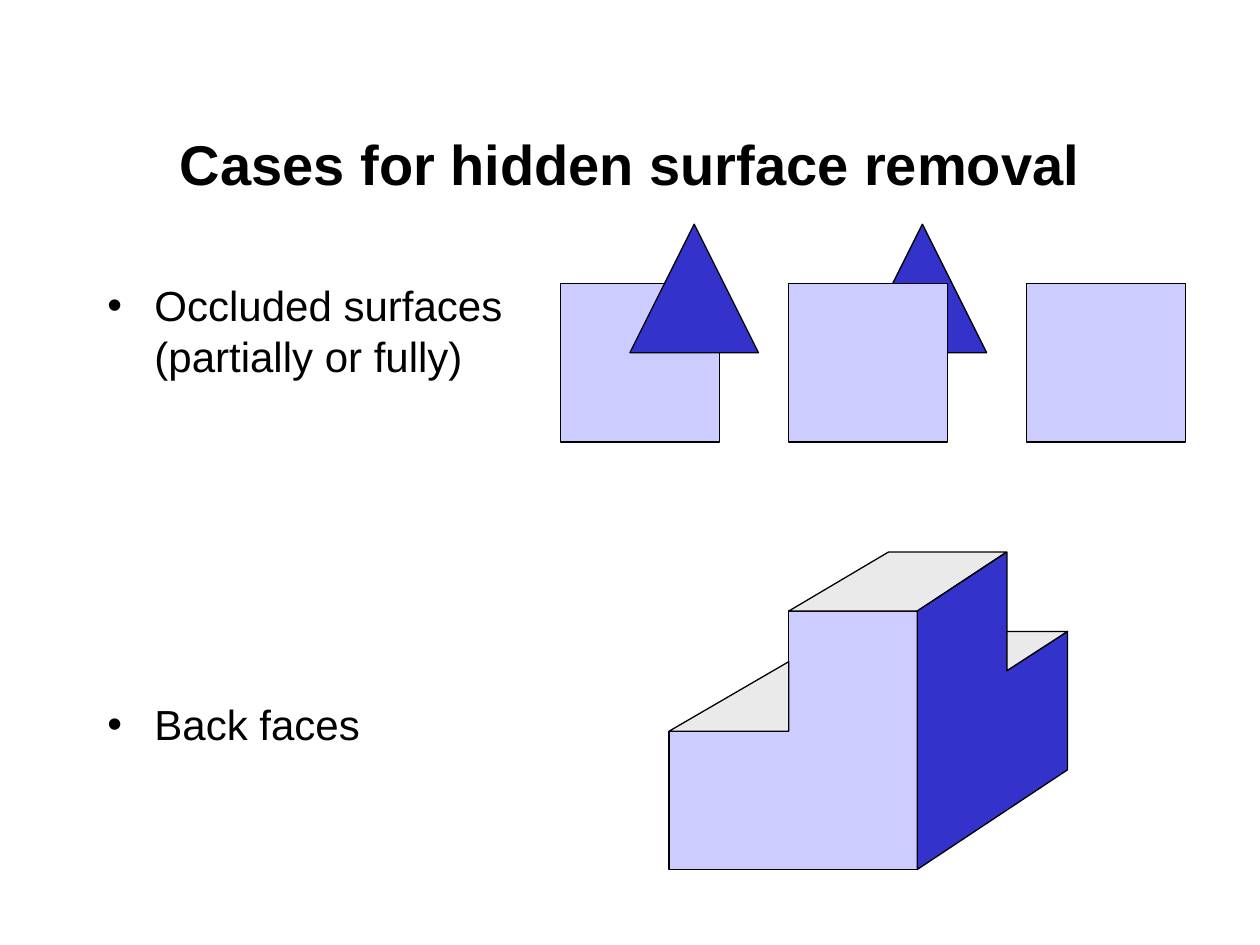
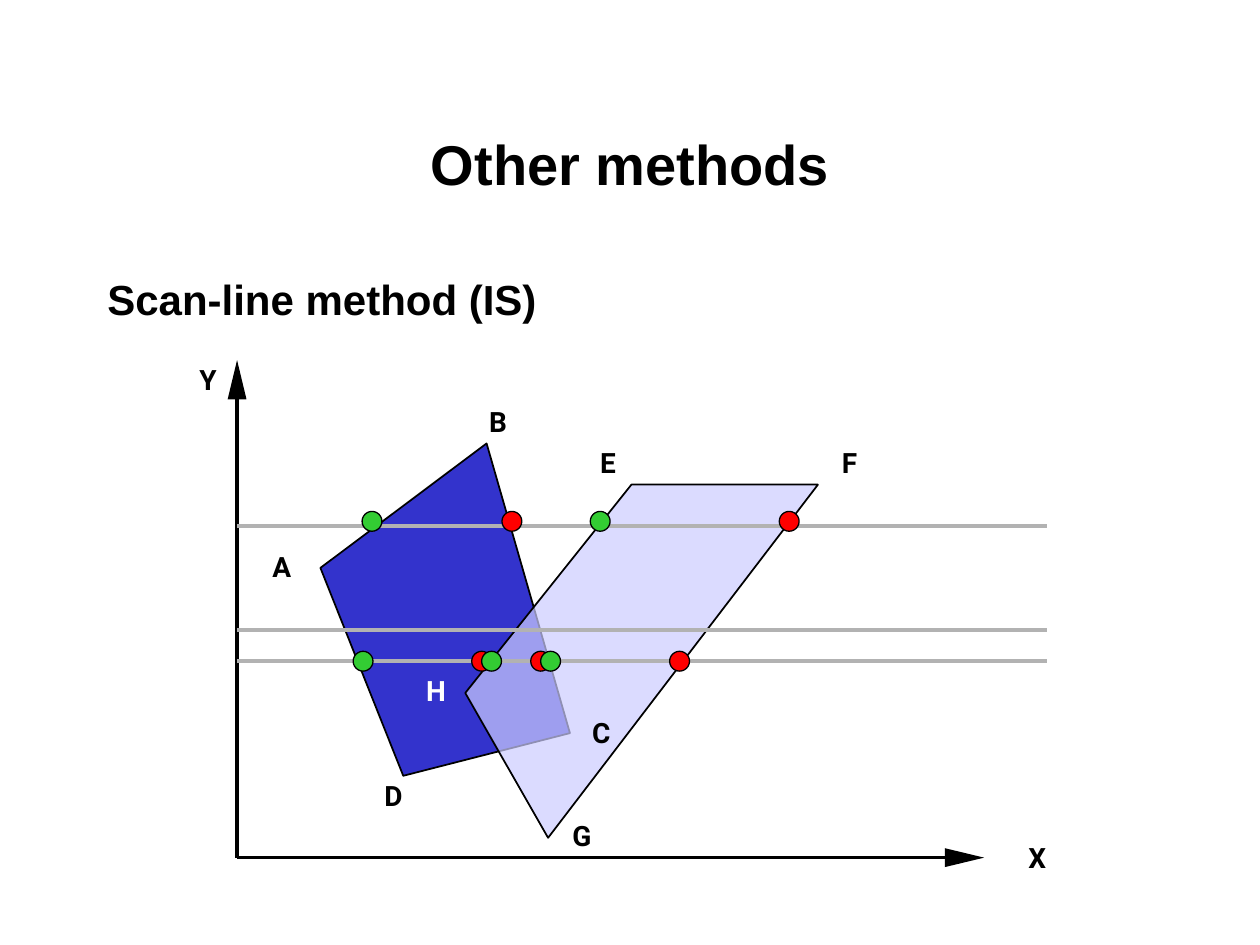
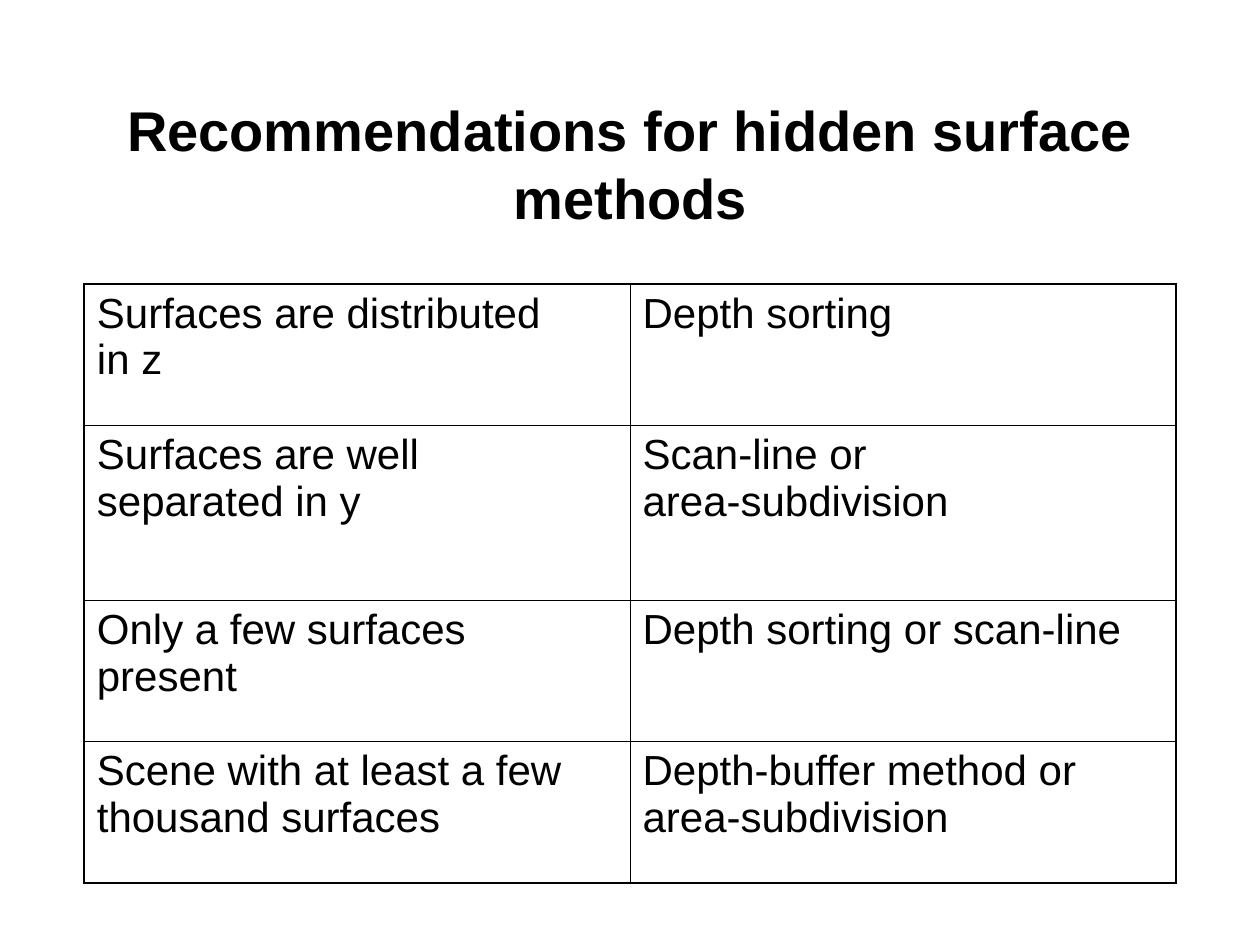
"""Build three slides about hidden surface removal."""
import dataclasses

import lxml.etree
import pptx
import pptx.dml.color
import pptx.enum.shapes
import pptx.enum.text
import pptx.oxml.ns
import pptx.util

Cm = pptx.util.Cm
SHAPES = pptx.enum.shapes.MSO_SHAPE
CENTER = pptx.enum.text.PP_ALIGN.CENTER


@dataclasses.dataclass(frozen=True)
class Theme:
    """Colours, fonts and sizes shared by the slides."""
    ink: str = "000000"
    paper: str = "FFFFFF"
    light: str = "CCCCFF"
    dark: str = "3333CC"
    pale: str = "EAEAEA"
    scan: str = "B2B2B2"
    enter: str = "33CC33"
    leave: str = "FF0000"
    font: str = "Arial"
    label_font: str = "Roboto"
    title_size: float = 32
    body_size: float = 24
    label_size: float = 16
    outline: float = 0.75
    polygon_line: float = 1
    axis_line: float = 2
    scan_line: float = 2.25
    frame_line: float = 1.08
    grid_line: float = 0.45


@dataclasses.dataclass(frozen=True)
class Box:
    """A region of a slide, in centimetres."""
    left: float
    top: float
    width: float
    height: float

    def point(self, x, y):
        """Return a point of the region as slide lengths."""
        return Cm(self.left + x), Cm(self.top + y)

    def place(self, shape):
        """Move a shape to fill the region."""
        shape.left, shape.top = self.point(0, 0)
        shape.width, shape.height = Cm(self.width), Cm(self.height)


THEME = Theme()
TITLE_BOX = Box(1.91, 1.7, 21.59, 3.18)


def color(value):
    """Return a colour object for a hexadecimal value."""
    return pptx.dml.color.RGBColor.from_string(value)


def add_element(parent, tag, **attributes):
    """Append a drawing element to its parent."""
    element = lxml.etree.SubElement(parent, pptx.oxml.ns.qn(tag))
    for name, value in attributes.items():
        element.set(name, str(value))
    return element


def write(paragraph, text, size=THEME.body_size, font=THEME.font,
          fill=THEME.ink, bold=False, align=None):
    """Write formatted text into a paragraph."""
    paragraph.text = text
    paragraph.alignment = align
    for run in paragraph.runs:
        run.font.size = pptx.util.Pt(size)
        run.font.name = font
        run.font.bold = bold
        run.font.color.rgb = color(fill)


def indent(paragraph, bullet=None):
    """Give a paragraph a hanging indent and an optional bullet."""
    properties = paragraph._p.get_or_add_pPr()
    properties.set("marL", str(Cm(0.95)))
    properties.set("indent", str(Cm(-0.95)))
    if bullet:
        add_element(add_element(properties, "a:buClr"), "a:srgbClr", val=THEME.ink)
        add_element(properties, "a:buChar", char=bullet)
    else:
        add_element(properties, "a:buNone")


def paint(shape, fill, line=THEME.outline, opacity=None):
    """Set the fill and outline of a shape."""
    shape.shadow.inherit = False
    shape.fill.solid()
    shape.fill.fore_color.rgb = color(fill)
    if line:
        shape.line.color.rgb = color(THEME.ink)
        shape.line.width = pptx.util.Pt(line)
    else:
        shape.line.fill.background()
    if opacity:
        solid = shape._element.spPr.find(pptx.oxml.ns.qn("a:solidFill"))
        add_element(solid[0], "a:alpha", val=opacity * 1000)


def add_preset(slide, box, kind, x, y, size, fill):
    """Add a preset shape of equal width and height."""
    shape = slide.shapes.add_shape(kind, *box.point(x, y), Cm(size), Cm(size))
    paint(shape, fill)


def add_polygon(slide, box, points, fill, **style):
    """Add a closed outline through points of the region."""
    start, *others = [box.point(*point) for point in points]
    builder = slide.shapes.build_freeform(*start)
    builder.add_line_segments(others, close=True)
    paint(builder.convert_to_shape(), fill, **style)


def add_line(slide, box, start, end, line, width):
    """Add a straight line between two points of the region."""
    connector = slide.shapes.add_connector(
        pptx.enum.shapes.MSO_CONNECTOR.STRAIGHT, *box.point(*start), *box.point(*end))
    connector.line.color.rgb = color(line)
    connector.line.width = pptx.util.Pt(width)
    add_element(connector._element.spPr, "a:effectLst")


def add_titled_slide(presentation, layout, title):
    """Add a slide with the shared title style."""
    slide = presentation.slides.add_slide(presentation.slide_layouts[layout])
    shape = slide.shapes.title
    TITLE_BOX.place(shape)
    frame = shape.text_frame
    frame.auto_size = pptx.enum.text.MSO_AUTO_SIZE.NONE
    frame.vertical_anchor = pptx.enum.text.MSO_ANCHOR.MIDDLE
    write(frame.paragraphs[0], title, size=THEME.title_size, bold=True, align=CENTER)
    return slide


def fill_body(slide, box, texts, bullet=None, bold=False, gap=0, spacing=1.0):
    """Fill the body placeholder with a list of paragraphs."""
    shape = slide.placeholders[1]
    box.place(shape)
    frame = shape.text_frame
    frame.auto_size = pptx.enum.text.MSO_AUTO_SIZE.NONE
    for index, text in enumerate(texts):
        paragraph = frame.add_paragraph() if index else frame.paragraphs[0]
        indent(paragraph, bullet)
        write(paragraph, text, bold=bold)
        paragraph.line_spacing = spacing
        paragraph.space_before = pptx.util.Pt(gap if index else 0)


def draw_occlusion(slide, box):
    """Draw a square behind, in front of and without a visible triangle."""
    square = (SHAPES.RECTANGLE, 0, 1.19, 3.2, THEME.light)
    triangle = (SHAPES.ISOSCELES_TRIANGLE, 1.4, 0, 2.59, THEME.dark)
    cases = [(0, (square, triangle)), (4.6, (triangle, square)), (9.4, (square,))]
    for offset, parts in cases:
        for kind, x, y, size, fill in parts:
            add_preset(slide, box, kind, offset + x, y, size, fill)


def draw_steps(slide, box):
    """Draw the visible faces of a stepped block."""
    faces = [
        (THEME.light, [(0, 3.61), (2.41, 3.61), (2.41, 1.19), (5, 1.19), (5, 6.4), (0, 6.4)]),
        (THEME.pale, [(2.41, 1.19), (4.42, 0), (6.8, 0), (5, 1.19)]),
        (THEME.dark, [(5, 1.19), (6.81, 0), (6.81, 2.39), (8.03, 1.6), (8.03, 4.39), (5, 6.4)]),
        (THEME.pale, [(0, 3.61), (2.41, 2.21), (2.41, 3.61)]),
        (THEME.pale, [(6.81, 1.6), (8.03, 1.6), (6.81, 2.39)]),
    ]
    for fill, points in faces:
        add_polygon(slide, box, points, fill)


def draw_axes(slide, box):
    """Draw the two axes with long arrowheads."""
    length, half, tip, base = 0.79, 0.19, 15.06, box.height
    add_polygon(slide, box, [(0, 0), (half, length), (-half, length)], THEME.ink, line=None)
    add_line(slide, box, (0, length), (0, base), THEME.ink, THEME.axis_line)
    neck = tip - length
    add_polygon(slide, box, [(tip, base), (neck, base + half), (neck, base - half)],
                THEME.ink, line=None)
    add_line(slide, box, (0, base), (neck, base), THEME.ink, THEME.axis_line)


def draw_surfaces(slide, box):
    """Draw the overlapping surfaces ABCD and EFGH."""
    add_polygon(slide, box, [(5.03, 1.68), (1.68, 4.19), (3.35, 8.38), (6.71, 7.52)],
                THEME.dark, line=THEME.polygon_line)
    add_polygon(slide, box, [(4.6, 6.71), (7.95, 2.51), (11.71, 2.51), (6.27, 9.63)],
                THEME.light, line=THEME.polygon_line, opacity=70)


def draw_labels(slide, box):
    """Name the axes and the corners of the surfaces."""
    labels = {
        "Y": (-0.76, 0.05), "X": (15.95, 9.68), "A": (0.71, 3.81), "B": (5.08, 0.89),
        "C": (7.16, 7.16), "D": (2.97, 8.43), "E": (7.32, 1.73), "F": (12.19, 1.73),
        "G": (6.76, 9.25), "H": (3.81, 6.32),
    }
    for text, corner in labels.items():
        frame = slide.shapes.add_textbox(*box.point(*corner), Cm(0.5), Cm(0.69)).text_frame
        frame.word_wrap = True
        frame.margin_left = frame.margin_right = frame.margin_top = frame.margin_bottom = 0
        write(frame.paragraphs[0], text, size=THEME.label_size, font=THEME.label_font,
              bold=True, fill=THEME.paper if text == "H" else THEME.ink)


def draw_scan_lines(slide, box):
    """Draw the scan lines and the dots where they cross edges."""
    enter, leave, size = THEME.enter, THEME.leave, 0.4
    scans = [
        (5.44, 5.44, []),
        (3.35, 3.25, [(5.54, leave), (2.72, enter), (11.13, leave), (7.32, enter)]),
        (6.07, 6.07, [(4.93, leave), (5.13, enter), (2.54, enter), (8.92, leave),
                      (6.12, leave), (6.32, enter)]),
    ]
    for y, dot_y, dots in scans:
        add_line(slide, box, (0, y), (box.width, y), THEME.scan, THEME.scan_line)
        for x, fill in dots:
            add_preset(slide, box, SHAPES.OVAL, x - size / 2, dot_y - size / 2, size, fill)


def format_cell(cell, outer_sides):
    """Give a cell a clear fill, a thick frame outside and thin lines inside."""
    properties = cell._tc.get_or_add_tcPr()
    for side in "LRTB":
        width = THEME.frame_line if side in outer_sides else THEME.grid_line
        border = add_element(properties, f"a:ln{side}", w=pptx.util.Pt(width))
        add_element(add_element(border, "a:solidFill"), "a:srgbClr", val=THEME.ink)
    cell.fill.background()


def draw_table(slide, box, rows, heights):
    """Draw a table of scene types and recommended methods."""
    columns = len(rows[0])
    table = slide.shapes.add_table(len(rows), columns, *box.point(0, 0),
                                   Cm(box.width), Cm(box.height)).table
    table.first_row = table.horz_banding = False
    for column in table.columns:
        column.width = Cm(box.width / columns)
    for row_index, (texts, height) in enumerate(zip(rows, heights)):
        table.rows[row_index].height = Cm(height)
        for column_index, text in enumerate(texts):
            cell = table.cell(row_index, column_index)
            edges = {"L": column_index == 0, "R": column_index == columns - 1,
                     "T": row_index == 0, "B": row_index == len(rows) - 1}
            format_cell(cell, [side for side, outer in edges.items() if outer])
            write(cell.text_frame.paragraphs[0], text)


def build_cases(presentation):
    """Build the slide about occluded surfaces and back faces."""
    slide = add_titled_slide(presentation, 1, "Cases for hidden surface removal")
    fill_body(slide, Box(1.91, 5.51, 8.79, 11.43),
              ["Occluded surfaces (partially or fully)", "Back faces"], bullet="•", gap=182)
    draw_occlusion(slide, Box(11.3, 4.52, 12.6, 4.39))
    draw_steps(slide, Box(13.49, 11.13, 8.03, 6.4))


def build_scan_line(presentation):
    """Build the slide about the scan-line method."""
    slide = add_titled_slide(presentation, 1, "Other methods")
    fill_body(slide, Box(1.91, 5.51, 21.59, 1.22), ["Scan-line method (IS)"],
              bold=True, spacing=0.9)
    diagram = Box(4.78, 7.26, 16.33, 10.03)
    for draw in (draw_axes, draw_surfaces, draw_labels, draw_scan_lines):
        draw(slide, diagram)


def build_recommendations(presentation):
    """Build the slide with the table of methods."""
    slide = add_titled_slide(presentation, 5, "Recommendations for hidden surface methods")
    rows = [
        ("Surfaces are distributed\nin z", "Depth sorting"),
        ("Surfaces are well separated in y", "Scan-line or\narea-subdivision"),
        ("Only a few surfaces present", "Depth sorting or scan-line"),
        ("Scene with at least a few thousand surfaces",
         "Depth-buffer method or area-subdivision"),
    ]
    draw_table(slide, Box(1.7, 5.72, 22, 12.08), rows, [2.85, 3.53, 2.85, 2.85])


def main():
    """Build and save the presentation."""
    presentation = pptx.Presentation()
    presentation.slide_width, presentation.slide_height = Cm(25.4), Cm(19.05)
    for build in (build_cases, build_scan_line, build_recommendations):
        build(presentation)
    presentation.save("out.pptx")


if __name__ == "__main__":
    main()
